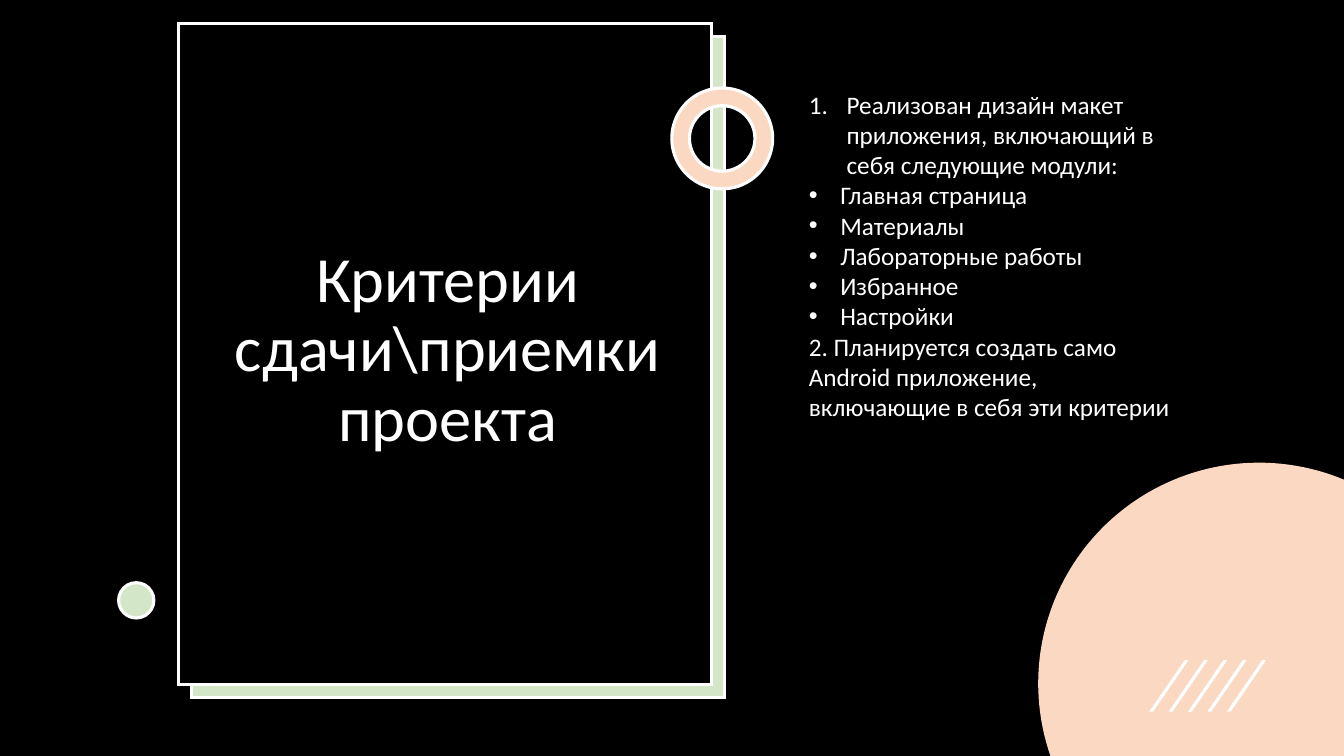
from math import acos, asin, cos, pi, sin

from lxml import etree
from pptx import Presentation
from pptx.dml.color import RGBColor
from pptx.enum.shapes import MSO_SHAPE
from pptx.enum.text import MSO_ANCHOR, PP_ALIGN
from pptx.oxml.ns import qn
from pptx.util import Pt

RECT, OVAL = MSO_SHAPE.RECTANGLE, MSO_SHAPE.OVAL
DONUT, SLASH = MSO_SHAPE.DONUT, MSO_SHAPE.PARALLELOGRAM
MIDDLE, CENTER = MSO_ANCHOR.MIDDLE, PP_ALIGN.CENTER
W, H = 960, 540
UNITS = 100
BLACK, WHITE, GREEN, PEACH = "000000", "FFFFFF", "D4E6C8", "FAD8C1"
FONT = "Calibri"
MODULES = ["Главная страница", "Материалы", "Лабораторные работы", "Избранное", "Настройки"]
CRITERIA = [
    ("Реализован дизайн макет приложения, включающий в себя следующие модули:", "number"),
    *((module, "bullet") for module in MODULES),
    ("2. Планируется создать само Android приложение, включающие в себя эти критерии", None),
]


def color(hex_string):
    return RGBColor.from_string(hex_string)


def paint(sp, fill, line=None):
    sp.shadow.inherit = False
    sp.fill.solid()
    sp.fill.fore_color.rgb = color(fill)
    if line:
        sp.line.color.rgb = color(line)
        sp.line.width = Pt(2.25)
        etree.SubElement(sp.line._get_or_add_ln(), qn("a:miter"), lim="800000")
    else:
        sp.line.fill.background()


def add_shape(s, kind, x, y, w, h, fill, line=None):
    sp = s.shapes.add_shape(kind, Pt(x), Pt(y), Pt(w), Pt(h))
    paint(sp, fill, line)
    return sp


def add_text_box(s, x, y, w, h):
    tf = s.shapes.add_textbox(Pt(x), Pt(y), Pt(w), Pt(h)).text_frame
    tf.word_wrap = True
    return tf


def style(p, size):
    p.font.name = FONT
    p.font.size = Pt(size)
    p.font.color.rgb = color(WHITE)


def add_marker(p, kind):
    indent = Pt(27 if kind == "number" else 22.5)
    pPr = p._p.get_or_add_pPr()
    pPr.set("marL", str(indent))
    pPr.set("indent", str(-indent))
    if kind == "number":
        marker = etree.Element(qn("a:buAutoNum"), type="arabicPeriod")
    else:
        font = etree.Element(qn("a:buFont"), typeface="Arial")
        pPr.insert_element_before(font, "a:tabLst", "a:defRPr", "a:extLst")
        marker = etree.Element(qn("a:buChar"), char="•")
    pPr.insert_element_before(marker, "a:tabLst", "a:defRPr", "a:extLst")


def add_title_card(s, x, y, w, h):
    offset = 9.3
    add_shape(s, RECT, x + offset, y + offset, w, h, GREEN, WHITE)
    add_shape(s, RECT, x, y, w, h, BLACK, WHITE)
    tf = add_text_box(s, x + 32.1, y + 23.7, 320.4, 420.5)
    tf.vertical_anchor = MIDDLE
    p = tf.paragraphs[0]
    p.text = "Критерии сдачи\\приемки проекта"
    p.alignment = CENTER
    p.line_spacing = 0.9
    style(p, 46)
    ring = add_shape(s, DONUT, x + w - 28.6, y + 46.3, 72, 72, PEACH, WHITE)
    ring.adjustments[0] = 0.175
    add_shape(s, OVAL, x - 42.8, y + 399.6, 25.2, 25.2, GREEN, WHITE)


def add_corner_disc(s, cx, cy, radius):
    start = acos((W - cx) / radius)
    end = pi + asin((H - cy) / radius)
    steps = 180
    angles = [start + (end - start) * i / steps for i in range(steps + 1)]
    arc = [((cx + radius * cos(a)) * UNITS, (cy - radius * sin(a)) * UNITS) for a in angles]
    builder = s.shapes.build_freeform(W * UNITS, H * UNITS, scale=Pt(1) / UNITS)
    builder.add_line_segments(arc, close=True)
    paint(builder.convert_to_shape(), PEACH)
    for i in range(5):
        slash = add_shape(s, SLASH, cx - 78.4 + 13.85 * i, cy - 16.6, 28, 36.7, WHITE)
        slash.adjustments[0] = 0.9


def add_criteria(s, x, y, w, h):
    tf = add_text_box(s, x, y, w, h)
    for i, (text, marker) in enumerate(CRITERIA):
        p = tf.add_paragraph() if i else tf.paragraphs[0]
        p.text = text
        style(p, 18)
        if marker:
            add_marker(p, marker)


def main():
    prs = Presentation()
    prs.slide_width, prs.slide_height = Pt(W), Pt(H)
    s = prs.slides.add_slide(prs.slide_layouts[6])
    add_shape(s, RECT, 0, 0, W, H, BLACK)
    add_title_card(s, 127.5, 16.6, 381, 472.3)
    add_corner_disc(s, 899.3, 488.2, 157.7)
    add_criteria(s, 570.6, 60.1, 278, 247)
    prs.save("out.pptx")


if __name__ == "__main__":
    main()
